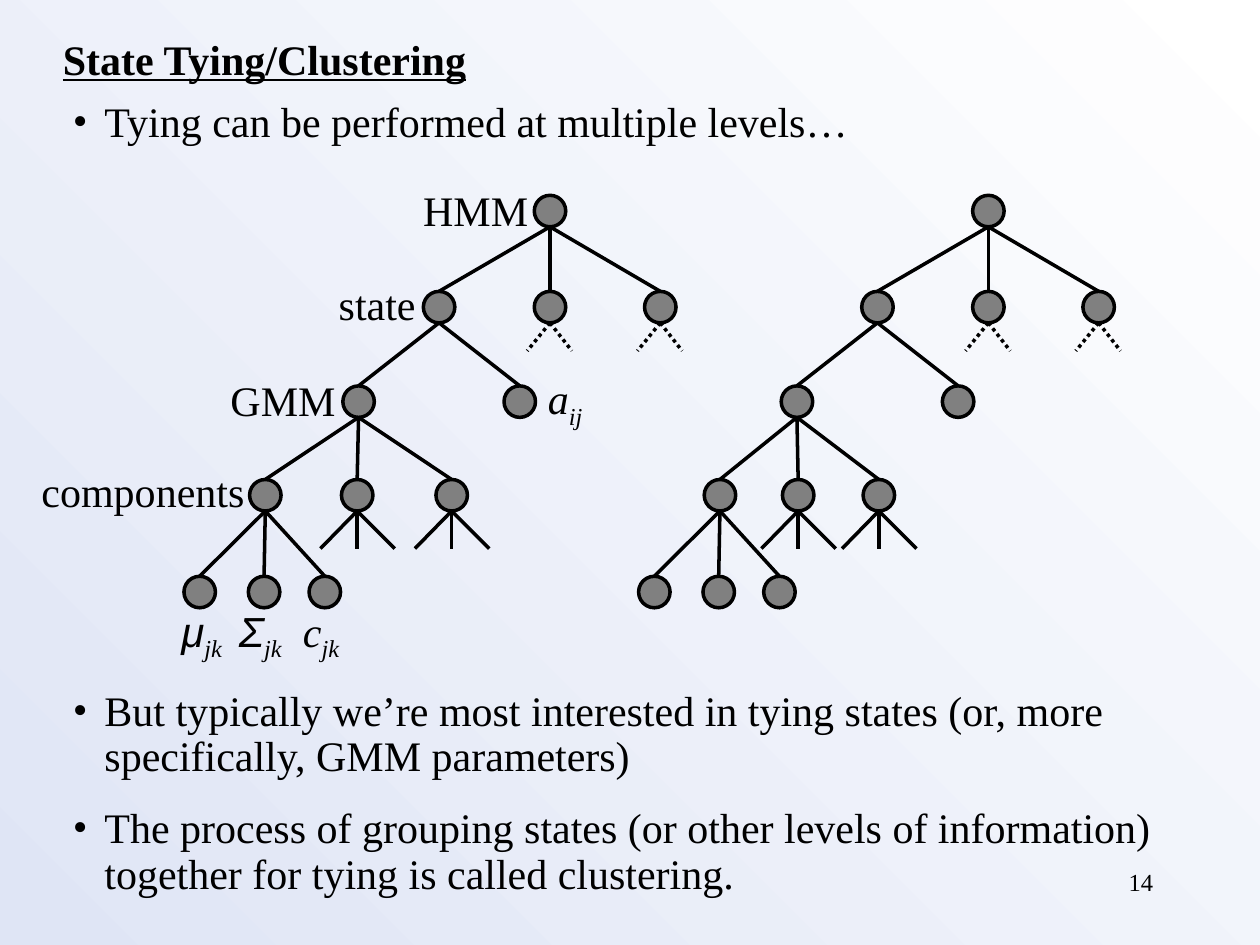
import pptx
import pptx.util
import pptx.dml.color
import pptx.enum.dml
import pptx.enum.shapes
import pptx.enum.text
import pptx.oxml
import pptx.oxml.ns

Pt = pptx.util.Pt
COLORS = {"ink": "000000", "node": "808080", "bg_light": "FFFFFF", "bg_blue": "DFE5F5"}
SERIF, SANS = "Times New Roman", "Arial"


def rgb(name):
    return pptx.dml.color.RGBColor.from_string(COLORS[name])


def sub_element(parent, tag, **attrs):
    el = pptx.oxml.parse_xml(f"<{tag} {pptx.oxml.ns.nsdecls('a')}/>")
    for key, value in attrs.items():
        el.set(key, value)
    parent.append(el)
    return el


def write(p, text, sub="", font=SERIF, size=24, bold=False, italic=False,
          underline=False, align=None, spacing=None, before=0, bullet=False):
    """Fill a paragraph; a newline is a line break and sub is a subscript."""
    if align:
        p.alignment = align
    if spacing:
        p.line_spacing = spacing
    if before:
        p.space_before = Pt(before)
    if bullet:
        pPr = p._p.get_or_add_pPr()
        pPr.set("marL", str(Pt(18)))
        pPr.set("indent", str(-Pt(18)))
        sub_element(sub_element(pPr, "a:buClr"), "a:srgbClr", val=COLORS["ink"])
        sub_element(pPr, "a:buFont", typeface=font)
        sub_element(pPr, "a:buChar", char="•")
        p.font.size = Pt(size)
    pieces = [(line, font, False) for line in text.split("\n")]
    if sub:
        pieces.append((sub, SERIF, True))
    for i, (piece, face, is_sub) in enumerate(pieces):
        if i and not is_sub:
            p.add_line_break()
        r = p.add_run()
        r.text = piece
        r.font.name, r.font.size = face, Pt(size)
        r.font.bold, r.font.italic, r.font.underline = bold, italic, underline
        r.font.color.rgb = rgb("ink")
        if is_sub:
            r._r.get_or_add_rPr().set("baseline", "-25000")


class Deck:
    node_size = 18
    line_width = 2

    def __init__(self, width, height):
        self.prs = pptx.Presentation()
        self.prs.slide_width, self.prs.slide_height = Pt(width), Pt(height)
        self.s = self.prs.slides.add_slide(self.prs.slide_layouts[6])

    def background(self, start, end, angle):
        fill = self.s.background.fill
        fill.gradient()
        fill.gradient_angle = angle
        for stop, name in zip(fill.gradient_stops, (start, end)):
            stop.color.rgb = rgb(name)

    def text(self, x, y, w, h, *paragraphs, wrap=False, **fmt):
        tf = self.s.shapes.add_textbox(Pt(x), Pt(y), Pt(w), Pt(h)).text_frame
        tf.word_wrap = wrap
        for i, text in enumerate(paragraphs):
            p = tf.add_paragraph() if i else tf.paragraphs[0]
            write(p, text, **{**fmt, "before": fmt.get("before", 0) if i else 0})

    def node(self, cx, top):
        d = self.node_size
        sp = self.s.shapes.add_shape(pptx.enum.shapes.MSO_SHAPE.OVAL,
                                     Pt(cx - d / 2), Pt(top), Pt(d), Pt(d))
        sp.shadow.inherit = False
        sp.fill.solid()
        sp.fill.fore_color.rgb = rgb("node")
        sp.line.color.rgb = rgb("ink")
        sp.line.width = Pt(self.line_width)

    def line(self, x1, y1, x2, y2, dotted=False):
        c = self.s.shapes.add_connector(pptx.enum.shapes.MSO_CONNECTOR.STRAIGHT,
                                        Pt(x1), Pt(y1), Pt(x2), Pt(y2))
        c.line.color.rgb = rgb("ink")
        c.line.width = Pt(self.line_width)
        if dotted:
            c.line.dash_style = pptx.enum.dml.MSO_LINE.ROUND_DOT
        sub_element(c._element.spPr, "a:effectLst")

    def branch(self, cx, top, child_xs, child_top):
        """Child nodes with lines from the bottom of their parent."""
        for x in child_xs:
            self.node(x, child_top)
            self.line(cx, top + self.node_size, x, child_top)

    def twigs(self, cx, top, offsets, length, dotted=False):
        """Short lines for children that are not drawn."""
        y = top + self.node_size
        for dx in offsets:
            self.line(cx, y, cx + dx, y + length, dotted)


# Tops of the five tree levels, and node centres relative to the root
ROOT_Y, STATE_Y, GMM_Y, COMP_Y, PARAM_Y = 111.6, 166.5, 220.5, 274, 329.3
STATES = (-63.4, 0, 63)
GMM_AND_A = (-109.4, -17.3)
PARAMS = (-37.5, -0.7, 34)


def draw_tree(deck, root_x, components):
    states = [root_x + dx for dx in STATES]
    gmm, a = (root_x + dx for dx in GMM_AND_A)
    comps = [root_x + dx for dx in components]
    deck.node(root_x, ROOT_Y)
    deck.branch(root_x, ROOT_Y, states, STATE_Y)
    deck.branch(states[0], STATE_Y, (gmm, a), GMM_Y)
    deck.branch(gmm, GMM_Y, comps, COMP_Y)
    deck.branch(comps[0], COMP_Y, [comps[0] + dx for dx in PARAMS], PARAM_Y)
    for x in states[1:]:
        deck.twigs(x, STATE_Y, (-13, 12.5), 16, dotted=True)
    for x in comps[1:]:
        deck.twigs(x, COMP_Y, (-21, 0, 21.5), 21.5)


def main():
    deck = Deck(720, 540)
    deck.background("bg_light", "bg_blue", 225)

    # Title and bullets
    deck.text(28.8, 15.5, 250, 36, "State Tying/Clustering", bold=True, underline=True)
    bullets = dict(wrap=True, spacing=0.9, bullet=True)
    deck.text(34.6, 54.4, 649.4, 36, "Tying can be performed at multiple levels…", **bullets)
    deck.text(34.6, 390.6, 649.4, 134,
              "But typically we’re most interested in tying states (or, more\n"
              "specifically, GMM parameters)",
              "The process of grouping states (or other levels of information) "
              "together for tying is called clustering.", before=15.4, **bullets)

    # Two trees
    draw_tree(deck, 314.3, (-162.7, -110.2, -56.2))
    draw_tree(deck, 564.8, (-153.4, -108.7, -62.6))

    # Level names, in boxes a little wider than their text
    for name, x, y, w in (("HMM", 234.7, 101.8, 82), ("state", 186.5, 155.5, 66),
                          ("GMM", 124.6, 210.7, 82), ("components", 16.6, 262.3, 140)):
        deck.text(x, y, w, 36, name)

    # Parameter names
    deck.text(306, 209.5, 42, 40, "a", sub="ij", italic=True)
    for name, font, x in (("μ", SANS, 96.6), ("Σ", SANS, 129.4), ("c", SERIF, 166)):
        deck.text(x, 342.7, 46, 36.7, name, sub="jk", font=font, italic=True, spacing=0.9)

    # Slide number
    deck.text(516.2, 491.8, 149.8, 36, "14", size=14, wrap=True,
              align=pptx.enum.text.PP_ALIGN.RIGHT)

    deck.prs.save("out.pptx")


if __name__ == "__main__":
    main()
